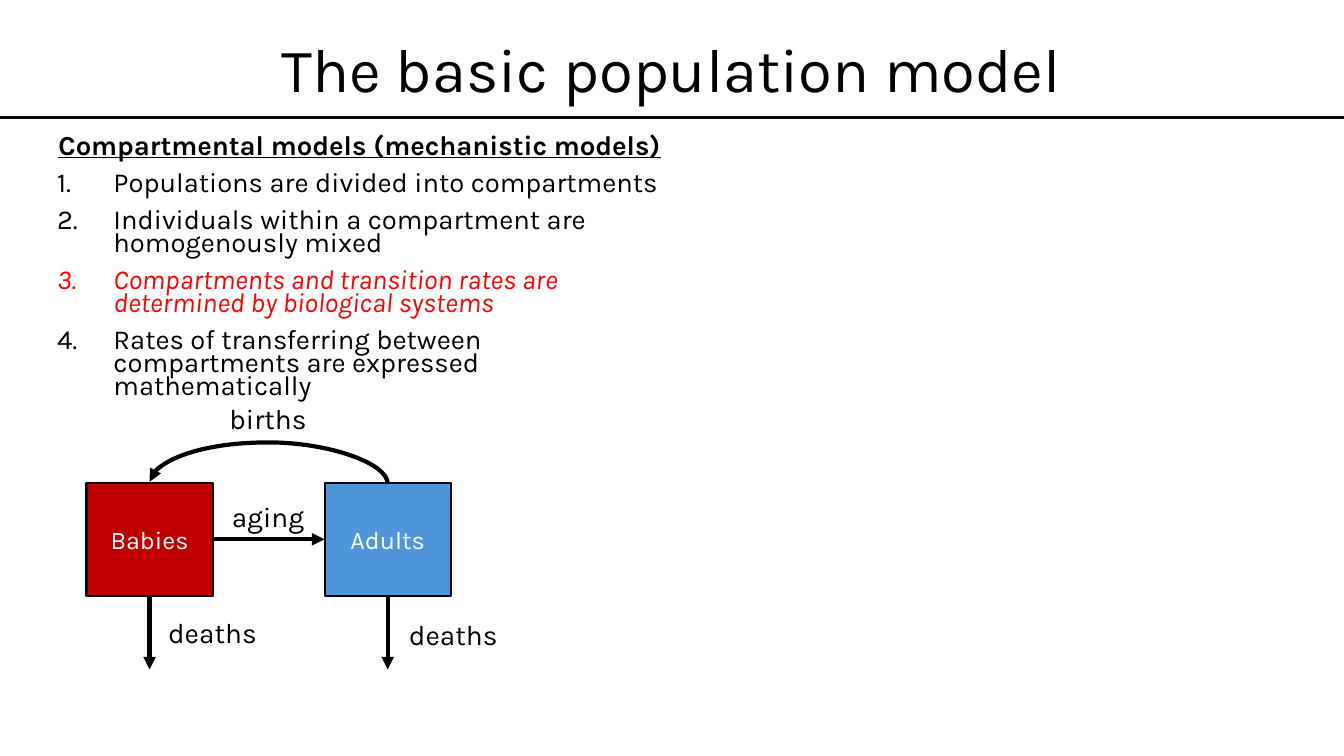
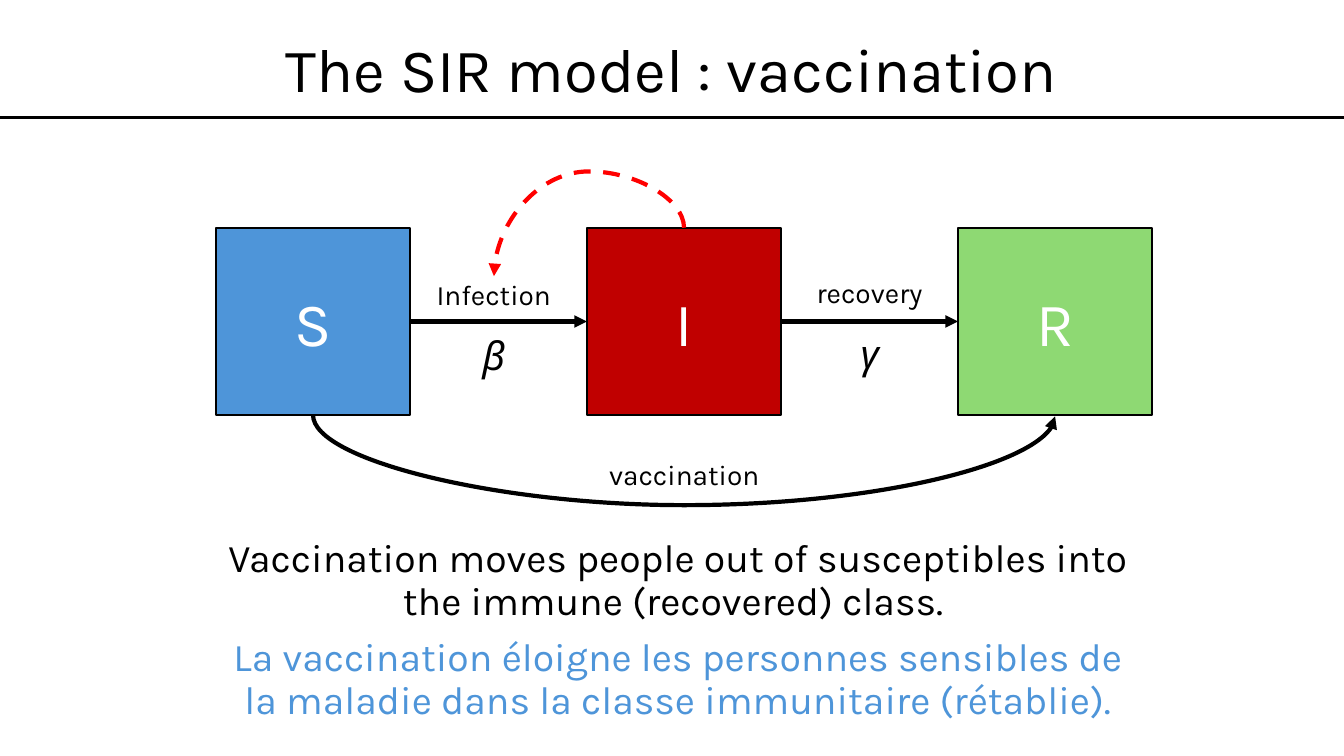
from lxml import etree
from pptx import Presentation
from pptx.dml.color import RGBColor
from pptx.enum.dml import MSO_LINE
from pptx.enum.shapes import MSO_CONNECTOR, MSO_SHAPE
from pptx.enum.text import MSO_ANCHOR, PP_ALIGN
from pptx.oxml.ns import qn
from pptx.util import Cm, Pt

STRAIGHT, CURVE = MSO_CONNECTOR.STRAIGHT, MSO_CONNECTOR.CURVE
RECTANGLE = MSO_SHAPE.RECTANGLE
DASH = MSO_LINE.DASH
CENTER, LEFT = PP_ALIGN.CENTER, PP_ALIGN.LEFT
MIDDLE, TOP = MSO_ANCHOR.MIDDLE, MSO_ANCHOR.TOP

COLORS = {
    "ink": "000000",
    "paper": "FFFFFF",
    "alert": "FF0000",
    "red": "C00000",
    "blue": "4E95D9",
    "green": "8ED973",
}
FONT = "Karla"
PAGE_WIDTH, PAGE_HEIGHT = 33.87, 19.05
TITLE_HEIGHT, RULE_Y = 3.68, 2.95
LABEL_WIDTH = 10.97
SITE_TOP, SITE_LEFT, SITE_BOTTOM, SITE_RIGHT = range(4)

TITLE = {"size": 44}
HEADING = {"size": 19.6, "bold": True, "underline": True}
ITEM = {"size": 19.6}
STRESSED_ITEM = {"size": 19.6, "italic": True, "color": "alert"}
LABEL = {"size": 20}
SYMBOL = {"size": 28, "italic": True}
MESSAGE = {"size": 28}
TRANSLATION = {"size": 28, "color": "blue"}


def rgb(name):
    return RGBColor.from_string(COLORS[name])


def format_span(span, style):
    values = {"name": FONT, **style, "size": Pt(style["size"])}
    span.font.color.rgb = rgb(values.pop("color", "ink"))
    for name, value in values.items():
        setattr(span.font, name, value)


def fill_para(para, text, style, spacing=0.9, before=10, align=CENTER):
    settings = {
        "alignment": align,
        "line_spacing": spacing,
        "space_before": Pt(before),
    }
    for name, value in settings.items():
        setattr(para, name, value)
    span = para.add_run()
    span.text = text
    format_span(span, style)


def number_para(para):
    properties = para._p.get_or_add_pPr()
    properties.set("marL", str(Cm(1.42)))
    properties.set("indent", str(-Cm(1.42)))
    etree.SubElement(properties, qn("a:buAutoNum"), type="arabicPeriod")


def add_text(page, left, top, width, height, lines, anchor=TOP):
    box = page.shapes.add_textbox(Cm(left), Cm(top), Cm(width), Cm(height))
    frame = box.text_frame
    frame.word_wrap = True
    frame.vertical_anchor = anchor
    for index, line in enumerate(lines):
        para = frame.add_paragraph() if index else frame.paragraphs[0]
        fill_para(para, **line)
    return box


def add_label(page, left, top, height, text, symbol=None):
    lines = [{"text": text, "style": LABEL}]
    if symbol:
        lines.append({"text": symbol, "style": SYMBOL, "before": 18})
    add_text(page, left, top, LABEL_WIDTH, height, lines)


def add_compartments(page, left, top, width, height, pitch, size, entries):
    boxes = []
    for index, (text, color) in enumerate(entries):
        box = page.shapes.add_shape(
            RECTANGLE, Cm(left + index * pitch), Cm(top), Cm(width), Cm(height))
        box.shadow.inherit = False
        box.fill.solid()
        box.fill.fore_color.rgb = rgb(color)
        box.line.color.rgb = rgb("ink")
        box.line.width = Pt(1.5)
        box.text_frame.vertical_anchor = MIDDLE
        fill_para(box.text_frame.paragraphs[0], text,
                  {"size": size, "color": "paper"}, spacing=1.0, before=0)
        boxes.append(box)
    return boxes


def add_line(page, kind, start, end, color="ink", weight=3, dash=None, arrow=True):
    line = page.shapes.add_connector(kind, *start, *end)
    line.line.color.rgb = rgb(color)
    line.line.width = Pt(weight)
    if dash:
        line.line.dash_style = dash
    if arrow:
        etree.SubElement(line.line._get_or_add_ln(), qn("a:tailEnd"), type="triangle")
    etree.SubElement(line._element.spPr, qn("a:effectLst"))
    return line


def add_link(page, source, target):
    line = add_line(page, STRAIGHT, (0, 0), (0, 0))
    line.begin_connect(source, SITE_RIGHT)
    line.end_connect(target, SITE_LEFT)


def add_exit(page, source, end_y):
    x = source.left + source.width // 2
    line = add_line(page, STRAIGHT, (x, source.top + source.height), (x, Cm(end_y)))
    line.begin_connect(source, SITE_BOTTOM)


def add_curve(page, start, end, crest, site, source, target=None, **look):
    (x1, y1), (x2, y2) = [(Cm(x), Cm(y)) for x, y in (start, end)]
    line = add_line(page, CURVE, (x1, y1), (x2, y2), **look)
    line.begin_connect(source, site)
    if target is not None:
        line.end_connect(target, site)
    width, height = abs(y2 - y1), abs(x2 - x1)
    place = {
        "left": (x1 + x2 - width) // 2,
        "top": (y1 + y2 - height) // 2,
        "width": width,
        "height": height,
    }
    for name, value in place.items():
        setattr(line, name, value)
    properties = line._element.spPr
    turn = {
        "rot": "16200000",
        "flipH": str(int(y2 > y1)),
        "flipV": str(int(x2 < x1)),
    }
    for name, value in turn.items():
        properties.find(qn("a:xfrm")).set(name, value)
    geometry = properties.find(qn("a:prstGeom"))
    guides = geometry.find(qn("a:avLst"))
    if guides is None:
        guides = etree.SubElement(geometry, qn("a:avLst"))
    bend = round((Cm(crest) - y1) / (y2 - y1) * 100000)
    etree.SubElement(guides, qn("a:gd"), name="adj1", fmla=f"val {bend}")


def add_page(deck, title):
    page = deck.slides.add_slide(deck.slide_layouts[6])
    add_text(page, 0, 0, PAGE_WIDTH, TITLE_HEIGHT,
             [{"text": title, "style": TITLE, "before": 0}], MIDDLE)
    add_line(page, STRAIGHT, (0, Cm(RULE_Y)), (Cm(PAGE_WIDTH), Cm(RULE_Y)),
             weight=2.25, arrow=False)
    return page


def build_population(deck):
    page = add_page(deck, "The basic population model")
    items = [
        ("Populations are divided into compartments", ITEM),
        ("Individuals within a compartment are homogenously mixed", ITEM),
        ("Compartments and transition rates are determined by biological systems",
         STRESSED_ITEM),
        ("Rates of transferring between compartments are expressed mathematically",
         ITEM),
    ]
    lines = [{"text": "Compartmental models (mechanistic models)",
              "style": HEADING, "spacing": 0.7}]
    lines += [{"text": text, "style": style, "spacing": 0.7, "align": LEFT}
              for text, style in items]
    body = add_text(page, 1.19, 3.33, 15.75, 6.96, lines)
    for para in body.text_frame.paragraphs[1:]:
        number_para(para)

    babies, adults = add_compartments(
        page, 2.18, 12.17, 3.18, 2.84, 6, 18,
        [("Babies", "red"), ("Adults", "blue")])
    add_curve(page, (9.77, 12.19), (3.77, 12.14), 11.15, SITE_TOP, adults, babies)
    add_link(page, babies, adults)
    for box in (babies, adults):
        add_exit(page, box, 16.87)
    for left, top, text in [(1.27, 10.08, "births"), (-0.13, 15.47, "deaths"),
                            (1.27, 12.55, "aging"), (5.94, 15.54, "deaths")]:
        add_label(page, left, top, 2, text)


def build_vaccination(deck):
    page = add_page(deck, "The SIR model : vaccination")
    susceptible, infected, recovered = add_compartments(
        page, 5.44, 5.74, 4.9, 4.72, 9.35, 44,
        [("S", "blue"), ("I", "red"), ("R", "green")])
    add_text(page, 5.28, 13.46, 23.6, 5.92, [
        {"text": "Vaccination moves people out of susceptibles into the immune "
                 "(recovered) class. ", "style": MESSAGE},
        {"text": "La vaccination éloigne les personnes sensibles de la maladie "
                 "dans la classe immunitaire (rétablie).", "style": TRANSLATION},
    ])
    add_link(page, susceptible, infected)
    add_link(page, infected, recovered)
    add_label(page, 6.96, 6.96, 3.53, "Infection", "β")
    add_label(page, 16.43, 6.91, 3.38, "recovery", "γ")
    add_curve(page, (17.24, 5.74), (12.45, 6.96), 4.32, SITE_TOP, infected,
              color="alert", dash=DASH)
    add_curve(page, (7.89, 10.46), (26.59, 10.49), 12.73, SITE_BOTTOM,
              susceptible, recovered)
    add_label(page, 11.76, 11.51, 3.53, "vaccination")


def main():
    deck = Presentation()
    deck.slide_width, deck.slide_height = Cm(PAGE_WIDTH), Cm(PAGE_HEIGHT)
    build_population(deck)
    build_vaccination(deck)
    deck.save("out.pptx")


if __name__ == "__main__":
    main()
